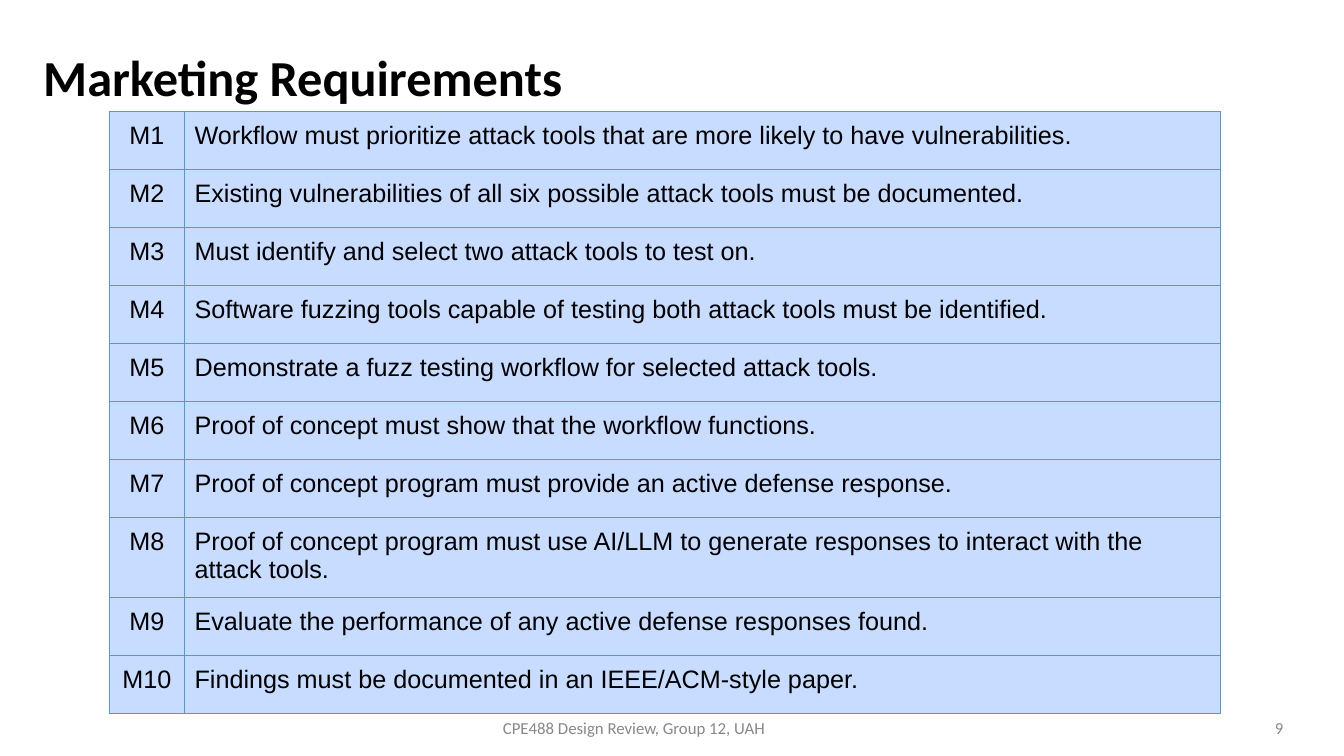
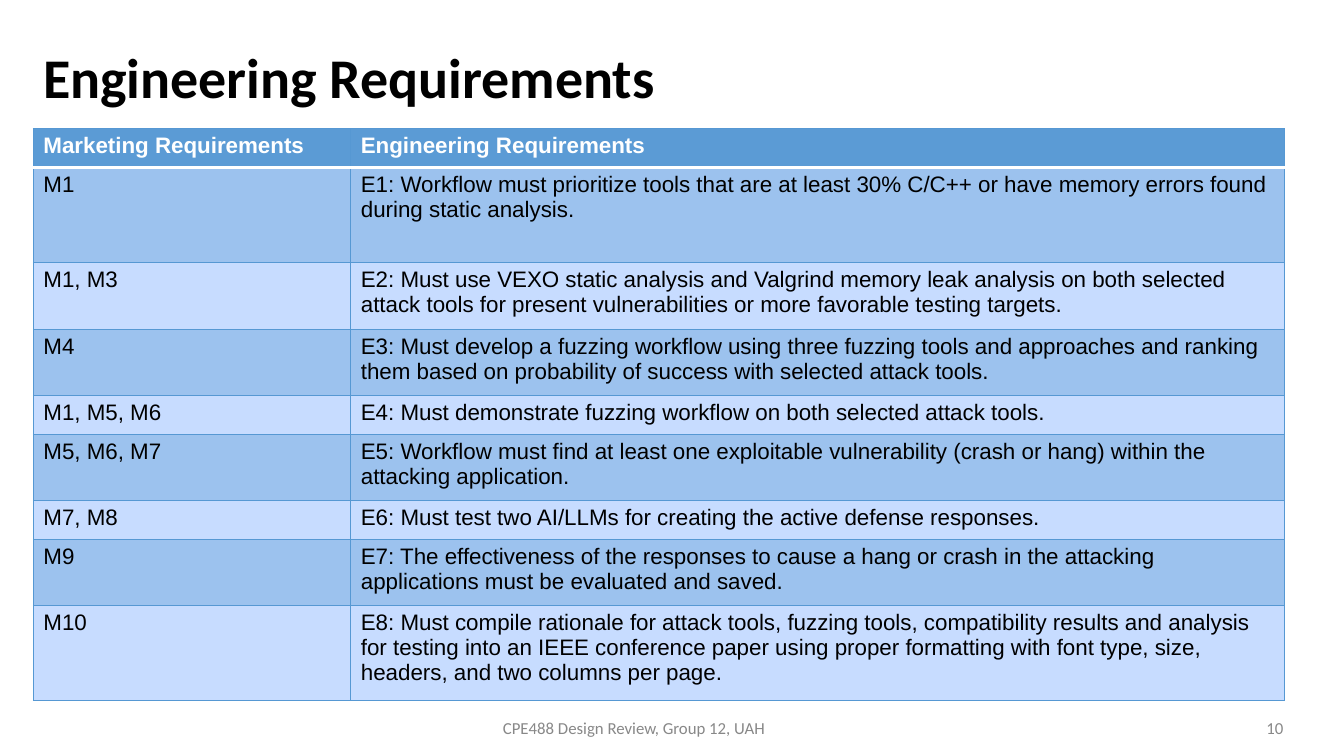
from pptx import Presentation, util as u
from pptx.dml.color import RGBColor
from pptx.enum import text as t
from pptx.oxml import parse_xml
from pptx.oxml.ns import nsdecls

# Shared look
BLACK, WHITE, GREY = "000000", "FFFFFF", "888888"
HEADER, BAND, PALE, GRID = "5B9BD5", "9CC2EE", "C7DCFF", "5698D3"
HEAD_FONT, TABLE_FONT = "Calibri", "Arial"
LEFT, CENTER, RIGHT = t.PP_ALIGN.LEFT, t.PP_ALIGN.CENTER, t.PP_ALIGN.RIGHT
TITLE_BOX = (0.84, 0.86, 31.75, 2.31)
FOOTER_BOX = (0.84, 17.98, 30.28, 0.71)
NUMBER_BOX = (31.32, 17.98, 1.27, 0.71)
FOOTER = "CPE488 Design Review, Group 12, UAH"

# Row heights by number of lines
ONE_LINE, TWO_LINES, THREE_LINES = 0.98, 1.67, 2.4
MARKETING_ROW, MARKETING_TALL_ROW = 1.46, 1.95

MARKETING = [
    "Workflow must prioritize attack tools that are more likely to have vulnerabilities.",
    "Existing vulnerabilities of all six possible attack tools must be documented.",
    "Must identify and select two attack tools to test on.",
    "Software fuzzing tools capable of testing both attack tools must be identified.",
    "Demonstrate a fuzz testing workflow for selected attack tools.",
    "Proof of concept must show that the workflow functions.",
    "Proof of concept program must provide an active defense response.",
    "Proof of concept program must use AI/LLM to generate responses to interact "
    "with the attack tools.",
    "Evaluate the performance of any active defense responses found.",
    "Findings must be documented in an IEEE/ACM-style paper.",
]

ENGINEERING = [
    (THREE_LINES, "M1",
     "Workflow must prioritize tools that are at least 30% C/C++ or have memory "
     "errors found during static analysis."),
    (TWO_LINES, "M1, M3",
     "Must use VEXO static analysis and Valgrind memory leak analysis on both selected "
     "attack tools for present vulnerabilities or more favorable testing targets."),
    (TWO_LINES, "M4",
     "Must develop a fuzzing workflow using three fuzzing tools and approaches and "
     "ranking them based on probability of success with selected attack tools."),
    (ONE_LINE, "M1, M5, M6",
     "Must demonstrate fuzzing workflow on both selected attack tools."),
    (TWO_LINES, "M5, M6, M7",
     "Workflow must find at least one exploitable vulnerability (crash or hang) "
     "within the attacking application."),
    (ONE_LINE, "M7, M8",
     "Must test two AI/LLMs for creating the active defense responses."),
    (TWO_LINES, "M9",
     "The effectiveness of the responses to cause a hang or crash in the attacking "
     "applications must be evaluated and saved."),
    (THREE_LINES, "M10",
     "Must compile rationale for attack tools, fuzzing tools, compatibility results and "
     "analysis for testing into an IEEE conference paper using proper formatting with "
     "font type, size, headers, and two columns per page."),
]


def color(hex_code):
    return RGBColor.from_string(hex_code)


def write(frame, text, *, size, font, ink=BLACK, bold=False, align=LEFT, spacing=1.0):
    para = frame.paragraphs[0]
    para.alignment, para.line_spacing = align, spacing
    span = para.add_run()
    span.text = text
    span.font.size, span.font.name, span.font.bold = u.Pt(size), font, bold
    span.font.color.rgb = color(ink)


def add_text(page, box, text, **style):
    frame = page.shapes.add_textbox(*map(u.Cm, box)).text_frame
    frame.word_wrap = True
    frame.vertical_anchor = t.MSO_ANCHOR.MIDDLE
    write(frame, text, font=HEAD_FONT, **style)


def set_border(cell, side, ink=GRID, width=0.75):
    cell._tc.get_or_add_tcPr().append(parse_xml(
        f'<a:ln{side} {nsdecls("a")} w="{u.Pt(width)}"><a:solidFill>'
        f'<a:srgbClr val="{ink}"/></a:solidFill></a:ln{side}>'))


def add_grid(page, corner, widths, heights):
    """Add an empty table whose size follows from its columns and rows."""
    size = (sum(widths), sum(heights))
    grid = page.shapes.add_table(len(heights), len(widths),
                                 *map(u.Cm, corner + size)).table
    grid.first_row = grid.horz_banding = False
    for column, width in zip(grid.columns, widths):
        column.width = u.Cm(width)
    for row, height in zip(grid.rows, heights):
        row.height = u.Cm(height)
    return grid


def fill_cell(cell, text, fill, rules=None, margin=None, **style):
    """Borders come before the fill, as the file format requires."""
    for side in "LRTB":
        set_border(cell, side, *(rules or {}).get(side, ()))
    cell.fill.solid()
    cell.fill.fore_color.rgb = color(fill)
    if margin:
        cell.margin_top = cell.margin_bottom = u.Cm(margin)
    write(cell.text_frame, text, font=TABLE_FONT, **style)


def add_page(deck, title, title_size, number):
    page = deck.slides.add_slide(deck.slide_layouts[6])
    add_text(page, TITLE_BOX, title, size=title_size, bold=True, spacing=0.9)
    add_text(page, FOOTER_BOX, FOOTER, size=12, ink=GREY, align=CENTER)
    add_text(page, NUMBER_BOX, str(number), size=12, ink=GREY, align=RIGHT)
    return page


def marketing_table(page, corner):
    heights = [MARKETING_ROW] * len(MARKETING)
    heights[7] = MARKETING_TALL_ROW
    grid = add_grid(page, corner, (1.9, 26.1), heights)
    for index, need in enumerate(MARKETING):
        for column, (text, align) in enumerate(((f"M{index + 1}", CENTER), (need, LEFT))):
            fill_cell(grid.cell(index, column), text, PALE,
                      margin=0.25, size=18, align=align)


def engineering_table(page, corner):
    heights = [ONE_LINE] + [height for height, _, _ in ENGINEERING]
    grid = add_grid(page, corner, (8, 23.52), heights)
    rows = [("Marketing Requirements", "Engineering Requirements")]
    rows += [(source, f"E{number}: {need}")
             for number, (_, source, need) in enumerate(ENGINEERING, 1)]
    white_rule = (WHITE, 2)
    for index, row in enumerate(rows):
        is_header = index == 0
        fill = HEADER if is_header else (BAND if index % 2 else PALE)
        rules = {0: {"B": white_rule}, 1: {"T": white_rule}}.get(index)
        for column, text in enumerate(row):
            fill_cell(grid.cell(index, column), text, fill, rules, size=16,
                      ink=WHITE if is_header else BLACK, bold=is_header)


def main():
    deck = Presentation()
    deck.slide_width, deck.slide_height = u.Cm(33.87), u.Cm(19.05)
    marketing_table(add_page(deck, "Marketing Requirements", 36, 9), (2.75, 2.82))
    engineering_table(add_page(deck, "Engineering Requirements", 40, 10), (0.84, 3.24))
    deck.save("out.pptx")


if __name__ == "__main__":
    main()
